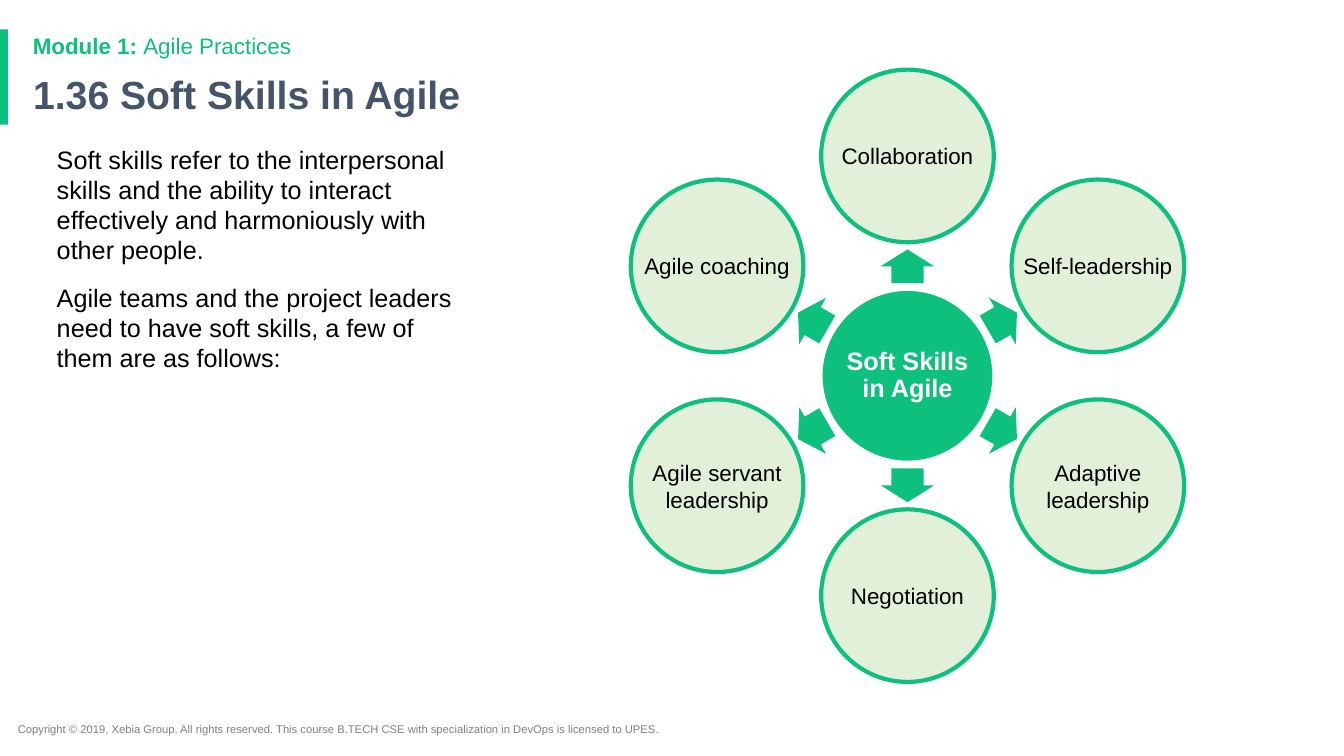
import math

import pptx
import pptx.util
import pptx.dml.color
import pptx.enum.shapes
import pptx.enum.text
import pptx.oxml.ns
from lxml import etree

Cm = pptx.util.Cm
Pt = pptx.util.Pt
RGBColor = pptx.dml.color.RGBColor
Shape = pptx.enum.shapes.MSO_SHAPE
Align = pptx.enum.text.PP_ALIGN
Anchor = pptx.enum.text.MSO_ANCHOR

GREEN = RGBColor(0x0E, 0xC0, 0x7D)
PALE_GREEN = RGBColor(0xE2, 0xF0, 0xD9)
SLATE = RGBColor(0x44, 0x54, 0x6A)
GRAY = RGBColor(0x7F, 0x7F, 0x7F)
BLACK = RGBColor(0, 0, 0)
WHITE = RGBColor(0xFF, 0xFF, 0xFF)

HUB_X, HUB_Y = 22.87, 9.47
ORBIT = 5.54
ARROW_ORBIT = 2.76
CIRCLE = 4.35
ARROW_LENGTH, ARROW_WIDTH = 0.85, 1.35

SKILLS = [
    "Collaboration",
    "Self-leadership",
    "Adaptive\vleadership",
    "Negotiation",
    "Agile servant\vleadership",
    "Agile coaching",
]


class SlideBuilder:
    font_name = "Arial"

    def __init__(self, page):
        self.page = page

    def style(self, paragraph, size, color, bold=False):
        for span in paragraph.runs:
            span.font.name = self.font_name
            span.font.size = Pt(size)
            span.font.color.rgb = color
            span.font.bold = bold

    def place(self, box, left, top, width, height):
        box.left, box.top = Cm(left), Cm(top)
        box.width, box.height = Cm(width), Cm(height)
        box.text_frame.auto_size = pptx.enum.text.MSO_AUTO_SIZE.NONE
        box.text_frame.word_wrap = True

    def title(self, text, area):
        box = self.page.shapes.title
        self.place(box, *area)
        box.text_frame.text = text
        box.text_frame.vertical_anchor = Anchor.MIDDLE
        para = box.text_frame.paragraphs[0]
        para.alignment = Align.LEFT
        para.line_spacing = 0.9
        self.style(para, 28, SLATE, True)

    def body(self, texts, area):
        box = self.page.placeholders[1]
        self.place(box, *area)
        frame = box.text_frame
        frame.margin_left = frame.margin_top = 0
        frame.text = "\n".join(texts)
        for number, para in enumerate(frame.paragraphs):
            properties = para._p.get_or_add_pPr()
            properties.set("marL", "0")
            properties.set("indent", "0")
            etree.SubElement(properties, pptx.oxml.ns.qn("a:buNone"))
            para.space_before = Pt(6 if number else 0)
            para.space_after = Pt(6)
            self.style(para, 18, BLACK)

    def text(self, text, area, size, color):
        box = self.page.shapes.add_textbox(*map(Cm, area))
        box.text_frame.word_wrap = True
        para = box.text_frame.paragraphs[0]
        para.text = text
        self.style(para, size, color)
        return para

    def shape(self, kind, center_x, center_y, width, height, fill):
        box = self.page.shapes.add_shape(
            kind, Cm(center_x - width / 2), Cm(center_y - height / 2),
            Cm(width), Cm(height))
        box.shadow.inherit = False
        box.fill.solid()
        box.fill.fore_color.rgb = fill
        box.line.fill.background()
        return box

    def circle(self, text, center, fill, line, line_width, size, color,
               bold=False, wrap=False):
        box = self.shape(Shape.OVAL, *center, CIRCLE, CIRCLE, fill)
        box.line.color.rgb = line
        box.line.width = Pt(line_width)
        frame = box.text_frame
        frame.margin_left = frame.margin_right = 0
        frame.margin_top = frame.margin_bottom = 0
        frame.vertical_anchor = Anchor.MIDDLE
        frame.word_wrap = wrap
        para = frame.paragraphs[0]
        para.text = text
        para.alignment = Align.CENTER
        self.style(para, size, color, bold)
        return para

    def arrow(self, center, angle):
        box = self.shape(Shape.RIGHT_ARROW, *center,
                         ARROW_LENGTH, ARROW_WIDTH, GREEN)
        box.adjustments[0] = 0.6
        box.adjustments[1] = 0.5
        box.rotation = angle % 360


def around_hub(distance, angle):
    turn = math.radians(angle)
    return (HUB_X + distance * math.cos(turn),
            HUB_Y + distance * math.sin(turn))


def main():
    deck = pptx.Presentation()
    deck.slide_width, deck.slide_height = Cm(33.87), Cm(19.05)
    builder = SlideBuilder(deck.slides.add_slide(deck.slide_layouts[1]))

    builder.shape(Shape.RECTANGLE, 0.1, 1.94, 0.2, 2.4, GREEN)
    builder.text(
        "Copyright © 2019, Xebia Group. All rights reserved. This course "
        "B.TECH CSE with specialization in DevOps is licensed to UPES.",
        (0.2, 18.08, 18.1, 0.6), 8, GRAY)
    module = builder.text("Module 1: ", (0.58, 0.76, 29.2, 0.84), 16, GREEN)
    module.add_run().text = "Agile Practices"
    builder.style(module, 16, GREEN)
    module.runs[0].font.bold = True
    module.line_spacing = 0.9

    builder.title("1.36 Soft Skills in Agile", (0.58, 1.75, 29.2, 1.37))
    builder.body([
        "Soft skills refer to the interpersonal skills and the ability to "
        "interact effectively and harmoniously with other people.",
        "Agile teams and the project leaders need to have soft skills, "
        "a few of them are as follows:",
    ], (1.43, 3.63, 10.62, 13.44))

    hub = builder.circle("Soft Skills in Agile", (HUB_X, HUB_Y), GREEN,
                         WHITE, 2, 18, WHITE, bold=True, wrap=True)
    hub.line_spacing = 0.9
    for number, skill in enumerate(SKILLS):
        angle = number * 360 / len(SKILLS) - 90
        builder.arrow(around_hub(ARROW_ORBIT, angle), angle)
        builder.circle(skill, around_hub(ORBIT, angle), PALE_GREEN,
                       GREEN, 3, 16, BLACK)

    deck.save("out.pptx")


if __name__ == "__main__":
    main()
